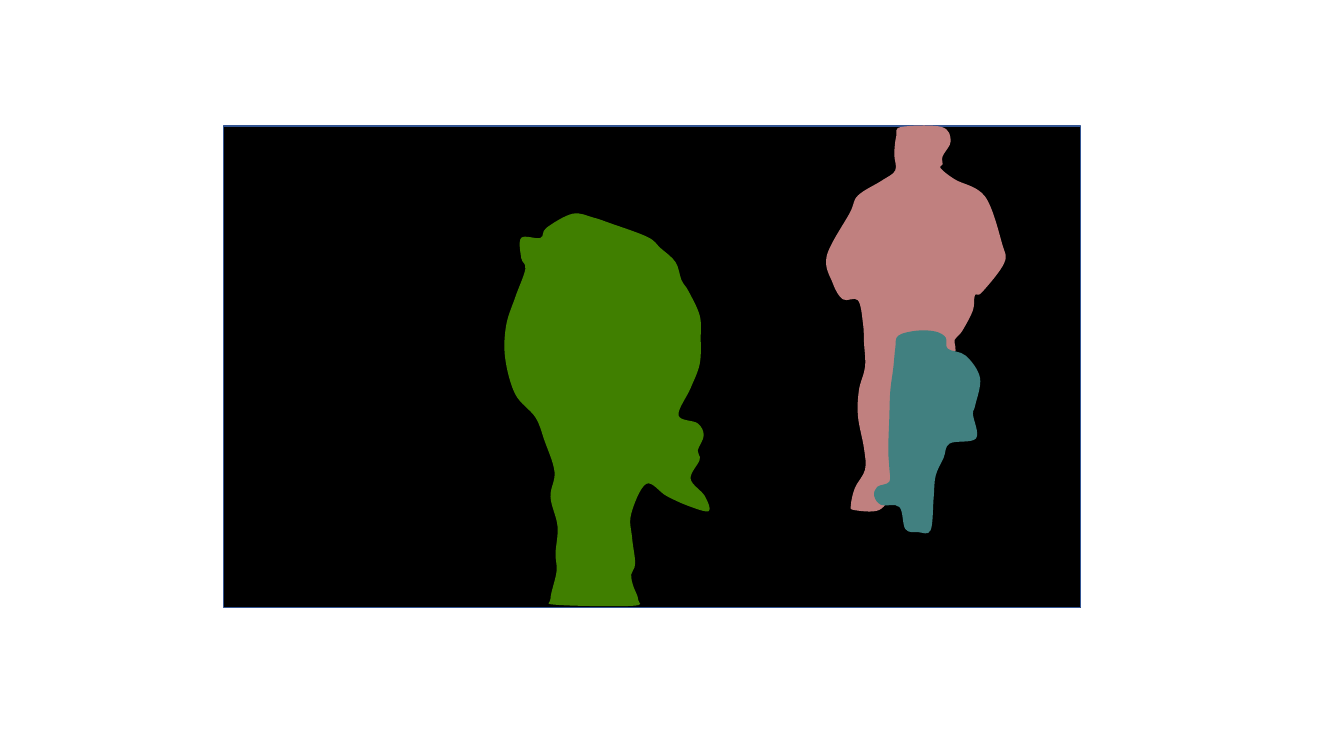
"""Build a slide with a black scene holding three flat, smooth silhouettes."""
from lxml import etree
from pptx import Presentation
from pptx.dml.color import RGBColor
from pptx.enum import shapes
from pptx.oxml.ns import qn
from pptx.util import Inches, Pt

BLACK = RGBColor(0x00, 0x00, 0x00)
BLUE = RGBColor(0x32, 0x54, 0x91)
GREEN = RGBColor(0x40, 0x7F, 0x00)
PINK = RGBColor(0xC0, 0x80, 0x7F)
TEAL = RGBColor(0x41, 0x80, 0x80)

SCENE = (2.22, 1.25, 8.5, 4.78)

PLANT = [
    (5.68, 2.12), (5.42, 2.26), (5.36, 2.36), (5.17, 2.36), (5.17, 2.56), (5.21, 2.67),
    (5.11, 2.95), (5.02, 3.23), (5.01, 3.55), (5.11, 3.91), (5.31, 4.14), (5.4, 4.37),
    (5.5, 4.68), (5.46, 4.93), (5.53, 5.22), (5.51, 5.49), (5.52, 5.67), (5.46, 5.94),
    (5.52, 6), (6.27, 6.01), (6.33, 5.95), (6.28, 5.81), (6.26, 5.7), (6.3, 5.59),
    (6.27, 5.34), (6.26, 5.1), (6.41, 4.8), (6.61, 4.92), (6.83, 5.02), (7.03, 5.07),
    (6.99, 4.92), (6.85, 4.75), (6.94, 4.56), (6.92, 4.47), (6.98, 4.32), (6.92, 4.2),
    (6.73, 4.12), (6.85, 3.85), (6.94, 3.61), (6.95, 3.35), (6.94, 3.13), (6.83, 2.89),
    (6.76, 2.78), (6.7, 2.6), (6.55, 2.46), (6.42, 2.35), (6.04, 2.21), (5.89, 2.16),
]
PERSON = [
    (8.44, 5.01), (8.48, 4.84), (8.58, 4.66), (8.57, 4.45), (8.51, 4.13), (8.52, 3.87),
    (8.58, 3.64), (8.57, 3.4), (8.56, 3.21), (8.51, 2.98), (8.36, 2.97), (8.26, 2.81),
    (8.2, 2.54), (8.43, 2.11), (8.51, 1.94), (8.75, 1.79), (8.88, 1.69), (8.87, 1.53),
    (8.89, 1.35), (8.94, 1.26), (9.34, 1.26), (9.43, 1.4), (9.35, 1.55), (9.35, 1.63),
    (9.33, 1.67), (9.47, 1.78), (9.77, 1.95), (9.94, 2.42), (9.96, 2.61), (9.74, 2.9),
    (9.67, 2.93), (9.65, 3.08), (9.54, 3.29), (9.47, 3.37), (9.46, 3.5), (9.21, 3.46),
    (8.96, 3.47), (8.85, 4), (8.88, 4.39), (8.84, 4.59), (8.85, 4.68), (8.85, 4.88),
    (8.72, 5.06), (8.47, 5.06),
]
BICYCLE = [
    (9.11, 5.28), (8.98, 5.25), (8.92, 5.03), (8.74, 5.01), (8.67, 4.92), (8.7, 4.83),
    (8.82, 4.78), (8.82, 4.64), (8.81, 4.46), (8.82, 4.15), (8.83, 3.88), (8.86, 3.65),
    (8.88, 3.45), (8.91, 3.33), (9.1, 3.28), (9.28, 3.29), (9.38, 3.35), (9.4, 3.46),
    (9.58, 3.53), (9.72, 3.75), (9.67, 4.03), (9.65, 4.11), (9.68, 4.35), (9.42, 4.4),
    (9.36, 4.54), (9.28, 4.72), (9.26, 4.94), (9.23, 5.26),
]
SILHOUETTES = [(PLANT, GREEN), (PERSON, PINK), (BICYCLE, TEAL)]


def round_off(silhouette):
    """Turn the straight sides of a closed outline into Catmull-Rom curves."""
    sides = list(silhouette._element.iter(qn("a:lnTo")))
    ends = [(int(side[0].get("x")), int(side[0].get("y"))) for side in sides]
    count = len(ends)
    for i, side in enumerate(sides):
        before, start, end, after = (ends[(i + shift) % count] for shift in (-2, -1, 0, 1))
        leave = [s + (e - b) / 6 for b, s, e in zip(before, start, end)]
        arrive = [e - (a - s) / 6 for s, e, a in zip(start, end, after)]
        curve = etree.Element(qn("a:cubicBezTo"))
        for x, y in (leave, arrive, end):
            etree.SubElement(curve, qn("a:pt"), x=str(round(x)), y=str(round(y)))
        side.getparent().replace(side, curve)


def paint(shape, fill, line=None):
    """Give the shape a flat fill and, if asked, a thin outline."""
    shape.shadow.inherit = False
    shape.fill.solid()
    shape.fill.fore_color.rgb = fill
    if line is None:
        shape.line.fill.background()
    else:
        shape.line.color.rgb = line
        shape.line.width = Pt(1)


deck = Presentation()
deck.slide_width, deck.slide_height = Inches(13.33), Inches(7.5)
slide = deck.slides.add_slide(deck.slide_layouts[6])

scene = slide.shapes.add_shape(shapes.MSO_SHAPE.RECTANGLE, *map(Inches, SCENE))
paint(scene, BLACK, line=BLUE)

for knots, color in SILHOUETTES:
    first, *rest = [(Inches(x), Inches(y)) for x, y in knots]
    outline = slide.shapes.build_freeform(*first)
    outline.add_line_segments([*rest, first], close=True)
    silhouette = outline.convert_to_shape()
    round_off(silhouette)
    paint(silhouette, color)

deck.save("out.pptx")
